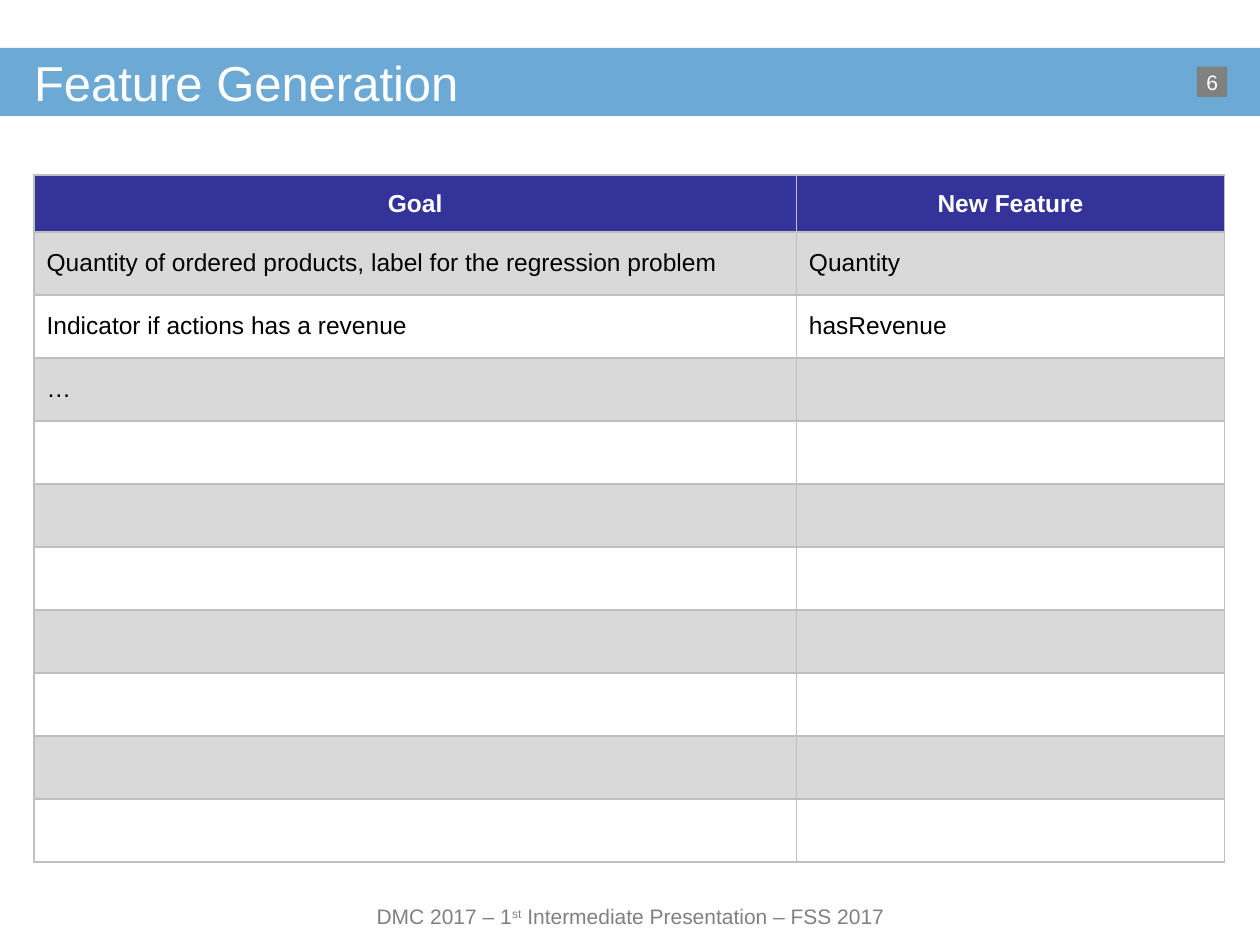
from lxml.etree import SubElement
from pptx import Presentation
from pptx.dml.color import RGBColor
from pptx.enum.shapes import MSO_SHAPE as Shape
from pptx.enum.text import MSO_ANCHOR as Anchor, PP_ALIGN as Align
from pptx.oxml.ns import qn
from pptx.util import Inches, Pt

# Content
TITLE = "Feature Generation"
PAGE = "6"
FOOTER = [("DMC 2017 – 1", False), ("st", True),
          (" Intermediate Presentation – FSS 2017", False)]
HEADER = ("Goal", "New Feature")
FEATURES = [
    ("Quantity of ordered products, label for the regression problem", "Quantity"),
    ("Indicator if actions has a revenue", "hasRevenue"),
    ("…", ""),
]
BODY_ROWS = 10

# Look
FONT = "Arial"
COLORS = {"band": "0B70B8", "header": "333399", "stripe": "D9D9D9",
          "white": "FFFFFF", "black": "000000", "gray": "808080",
          "border": "BFBFBF"}
LEFT, WIDTH = 0.27, 9.45
BAND_TOP, BAND_H = 0.38, 0.54
TABLE_TOP, HEADER_H, ROW_H = 1.39, 0.45, 0.5
COL_WIDTHS = (6.05, 3.4)


def rgb(name):
    return RGBColor.from_string(COLORS[name])


def box(left, top, width, height):
    return [Inches(v) for v in (left, top, width, height)]


def write(tf, runs, size=14, color="black", bold=False, align=Align.LEFT,
          margins=True, wrap=True):
    """Fill a text frame; runs is a string or a list of (text, superscript)."""
    if not margins:
        tf.margin_left = tf.margin_top = tf.margin_right = tf.margin_bottom = 0
        tf.vertical_anchor = Anchor.MIDDLE
        tf.word_wrap = wrap
    p = tf.paragraphs[0]
    p.alignment = align
    for text, superscript in [(runs, False)] if isinstance(runs, str) else runs:
        r = p.add_run()
        r.text = text
        r.font.name, r.font.size, r.font.bold = FONT, Pt(size), bold
        r.font.color.rgb = rgb(color)
        if superscript:
            r.font._element.set("baseline", "30000")


def add_rect(slide, place, color):
    sp = slide.shapes.add_shape(Shape.RECTANGLE, *box(*place))
    sp.shadow.inherit = False
    sp.fill.solid()
    sp.fill.fore_color.rgb = rgb(color)
    sp.line.fill.background()
    return sp


def style_cell(cell, color):
    """Set the fill and a thin border on every side."""
    cell.vertical_anchor = Anchor.MIDDLE
    tc_pr = cell._tc.get_or_add_tcPr()
    for side in ("a:lnL", "a:lnR", "a:lnT", "a:lnB"):
        ln = SubElement(tc_pr, qn(side), w=str(Pt(1)))
        fill = SubElement(ln, qn("a:solidFill"))
        SubElement(fill, qn("a:srgbClr"), val=COLORS["border"])
    cell.fill.solid()
    cell.fill.fore_color.rgb = rgb(color)


prs = Presentation()
prs.slide_width, prs.slide_height = Inches(10), Inches(7.5)
slide = prs.slides.add_slide(prs.slide_layouts[5])

# Translucent title band, with the title in front of it
band = add_rect(slide, (0, BAND_TOP, 10, BAND_H), "band")
band_color = band.element.spPr.find(qn("a:solidFill")).find(qn("a:srgbClr"))
SubElement(band_color, qn("a:alpha"), val="60000")
title = slide.shapes.title
band.element.addnext(title.element)
title.left, title.top, title.width, title.height = box(LEFT, BAND_TOP, WIDTH, BAND_H)
write(title.text_frame, TITLE, size=28, color="white", margins=False)

# Footer
footer = slide.shapes.add_textbox(*box(2.64, 7.13, 4.73, 0.28))
write(footer.text_frame, FOOTER, size=12, color="gray", align=Align.CENTER,
      margins=False)

# Page number
page = add_rect(slide, (9.5, 0.53, 0.24, 0.24), "gray")
write(page.text_frame, PAGE, size=12, color="white", align=Align.CENTER,
      margins=False, wrap=False)

# Feature table: header, features, then empty rows to fill in
blank = [("", "")] * (BODY_ROWS - len(FEATURES))
rows = [HEADER] + FEATURES + blank
table = slide.shapes.add_table(
    len(rows), len(COL_WIDTHS),
    *box(LEFT, TABLE_TOP, WIDTH, HEADER_H + BODY_ROWS * ROW_H)).table
for column, width in zip(table.columns, COL_WIDTHS):
    column.width = Inches(width)
for i, row in enumerate(rows):
    head = i == 0
    table.rows[i].height = Inches(HEADER_H if head else ROW_H)
    fill = "header" if head else "stripe" if i % 2 else "white"
    for j, text in enumerate(row):
        cell = table.cell(i, j)
        style_cell(cell, fill)
        if text:
            write(cell.text_frame, text, color="white" if head else "black",
                  bold=head, align=Align.CENTER if head else Align.LEFT)

prs.save("out.pptx")
